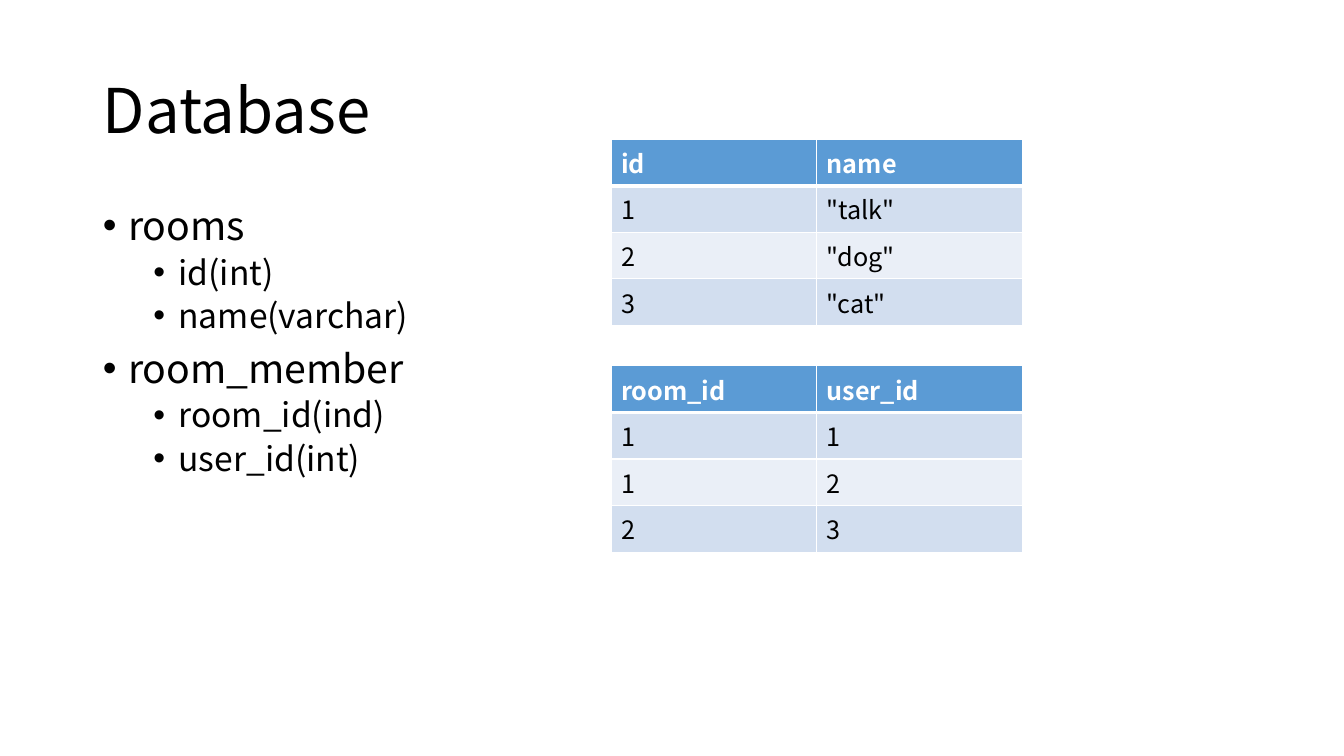
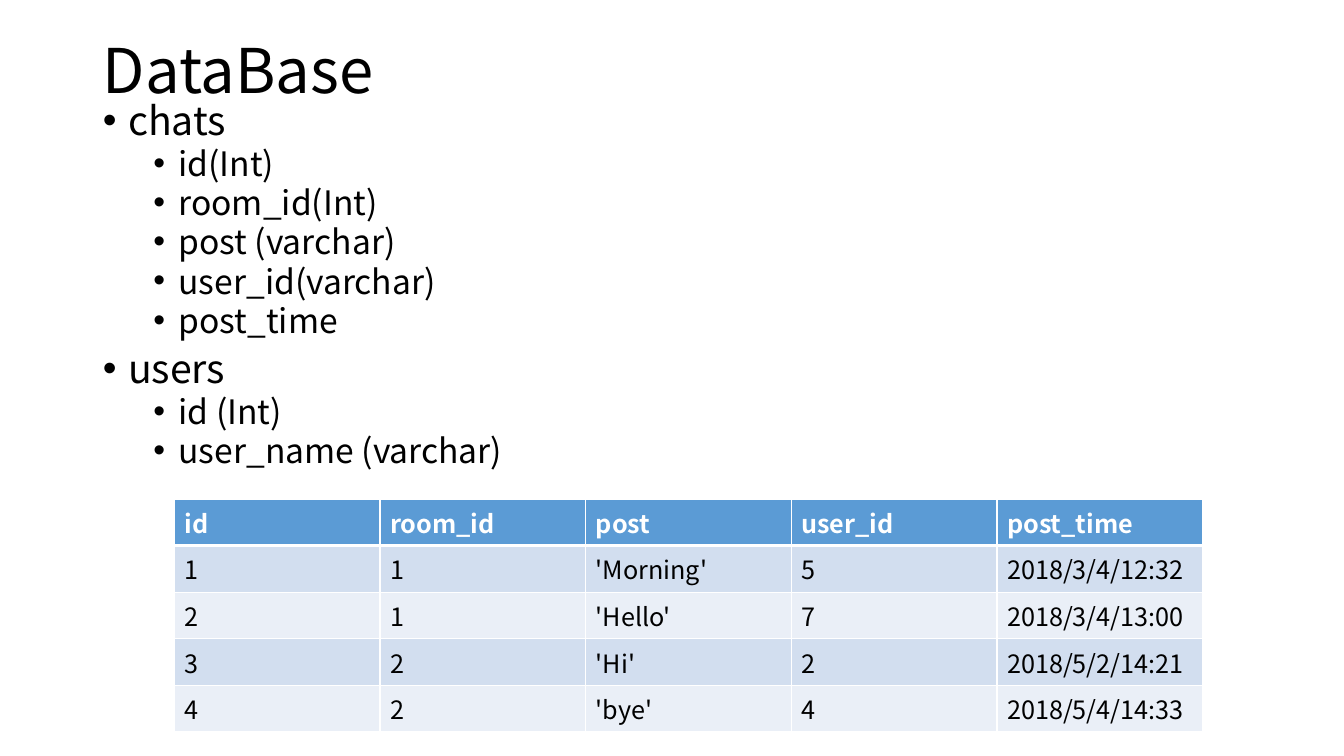
import pptx
import pptx.util
import pptx.dml.color
import pptx.enum.text
import pptx.oxml.ns
from lxml import etree

SLIDE_W, SLIDE_H = 13.33, 7.5
MARGIN = 0.92
TITLE_H, BODY_H = 1.45, 4.76
COL_W, ROW_H = 2.04, 0.41
FONT = "Noto Sans CJK JP"
COLORS = {
    "text": "000000",
    "paper": "FFFFFF",
    "header": "5B9BD5",
    "odd_row": "D2DEEF",
    "even_row": "EAEFF7",
}
LEVEL_SIZES = [28, 24]
LEVEL_INDENTS = [0.25, 0.75]
LEVEL_GAPS = [10, 5]
HANGING = 0.25

inches = pptx.util.Inches
Pt = pptx.util.Pt
qn = pptx.oxml.ns.qn


def rgb(name):
    return pptx.dml.color.RGBColor.from_string(COLORS[name])


def format_runs(p, size, color="text", bold=False):
    for r in p.runs:
        r.font.name = FONT
        r.font.size = Pt(size)
        r.font.bold = bold
        r.font.color.rgb = rgb(color)


def place(sp, top, height):
    sp.left, sp.top = inches(MARGIN), inches(top)
    sp.width, sp.height = inches(SLIDE_W - 2 * MARGIN), inches(height)
    sp.text_frame.auto_size = pptx.enum.text.MSO_AUTO_SIZE.NONE


def set_title(s, text, top):
    sp = s.shapes.title
    place(sp, top, TITLE_H)
    tf = sp.text_frame
    tf.text = text
    tf.vertical_anchor = pptx.enum.text.MSO_ANCHOR.MIDDLE
    p = tf.paragraphs[0]
    p.alignment = pptx.enum.text.PP_ALIGN.LEFT
    p.line_spacing = 0.9
    format_runs(p, 44)


def set_bullet(p, level):
    pPr = p._p.get_or_add_pPr()
    pPr.set("marL", str(inches(LEVEL_INDENTS[level])))
    pPr.set("indent", str(-inches(HANGING)))
    etree.SubElement(pPr, qn("a:buFont")).set("typeface", "Arial")
    etree.SubElement(pPr, qn("a:buChar")).set("char", "•")


def set_schema_list(s, schema, top, line_spacing):
    """List each database table with its fields one level below."""
    sp = s.placeholders[1]
    place(sp, top, BODY_H)
    items = []
    for name, fields in schema.items():
        items.append((0, name))
        items.extend((1, field) for field in fields)
    tf = sp.text_frame
    tf.text = "\n".join(text for _, text in items)
    for p, (level, _) in zip(tf.paragraphs, items):
        p.level = level
        p.line_spacing = line_spacing
        p.space_before = Pt(LEVEL_GAPS[level])
        set_bullet(p, level)
        format_runs(p, LEVEL_SIZES[level])


def set_borders(cell, bottom):
    tcPr = cell._tc.get_or_add_tcPr()
    for side, width in (("L", 1), ("R", 1), ("T", 1), ("B", bottom)):
        ln = etree.SubElement(tcPr, qn("a:ln" + side), w=str(Pt(width)))
        fill = etree.SubElement(ln, qn("a:solidFill"))
        etree.SubElement(fill, qn("a:srgbClr"), val=COLORS["paper"])


def add_data_table(s, left, top, rows):
    n_rows, n_cols = len(rows), len(rows[0])
    table = s.shapes.add_table(
        n_rows, n_cols, inches(left), inches(top),
        inches(n_cols * COL_W), inches(n_rows * ROW_H)).table
    for i, values in enumerate(rows):
        is_header = i == 0
        band = "header" if is_header else "odd_row" if i % 2 else "even_row"
        for j, value in enumerate(values):
            cell = table.cell(i, j)
            # The rule under the header is shared with the first data row.
            set_borders(cell, bottom=3 if is_header else 1)
            if i == 1:
                cell._tc.tcPr.find(qn("a:lnT")).set("w", str(Pt(3)))
            cell.fill.solid()
            cell.fill.fore_color.rgb = rgb(band)
            cell.text_frame.text = value
            format_runs(cell.text_frame.paragraphs[0], 18,
                        "paper" if is_header else "text", is_header)


def add_slide(prs, title, schema, title_top, body_top, line_spacing):
    s = prs.slides.add_slide(prs.slide_layouts[1])
    set_title(s, title, title_top)
    set_schema_list(s, schema, body_top, line_spacing)
    return s


def main():
    prs = pptx.Presentation()
    prs.slide_width, prs.slide_height = inches(SLIDE_W), inches(SLIDE_H)

    s = add_slide(prs, "Database", {
        "rooms": ["id(int)", "name(varchar)"],
        "room_member": ["room_id(ind)", "user_id(int)"],
    }, title_top=0.4, body_top=2, line_spacing=0.9)
    rooms = [("id", "name"), ("1", '"talk"'), ("2", '"dog"'), ("3", '"cat"')]
    members = [("room_id", "user_id"), ("1", "1"), ("1", "2"), ("2", "3")]
    for top, rows in ((1.38, rooms), (3.63, members)):
        add_data_table(s, 6.06, top, rows)

    s = add_slide(prs, "DataBase", {
        "chats": ["id(Int)", "room_id(Int)", "post (varchar)",
                  "user_id(varchar)", "post_time"],
        "users": ["id (Int)", "user_name (varchar)"],
    }, title_top=0, body_top=1, line_spacing=0.8)
    add_data_table(s, 1.73, 4.95, [
        ("id", "room_id", "post", "user_id", "post_time"),
        ("1", "1", "'Morning'", "5", "2018/3/4/12:32"),
        ("2", "1", "'Hello'", "7", "2018/3/4/13:00"),
        ("3", "2", "'Hi'", "2", "2018/5/2/14:21"),
        ("4", "2", "'bye'", "4", "2018/5/4/14:33"),
    ])

    prs.save("out.pptx")


if __name__ == "__main__":
    main()
